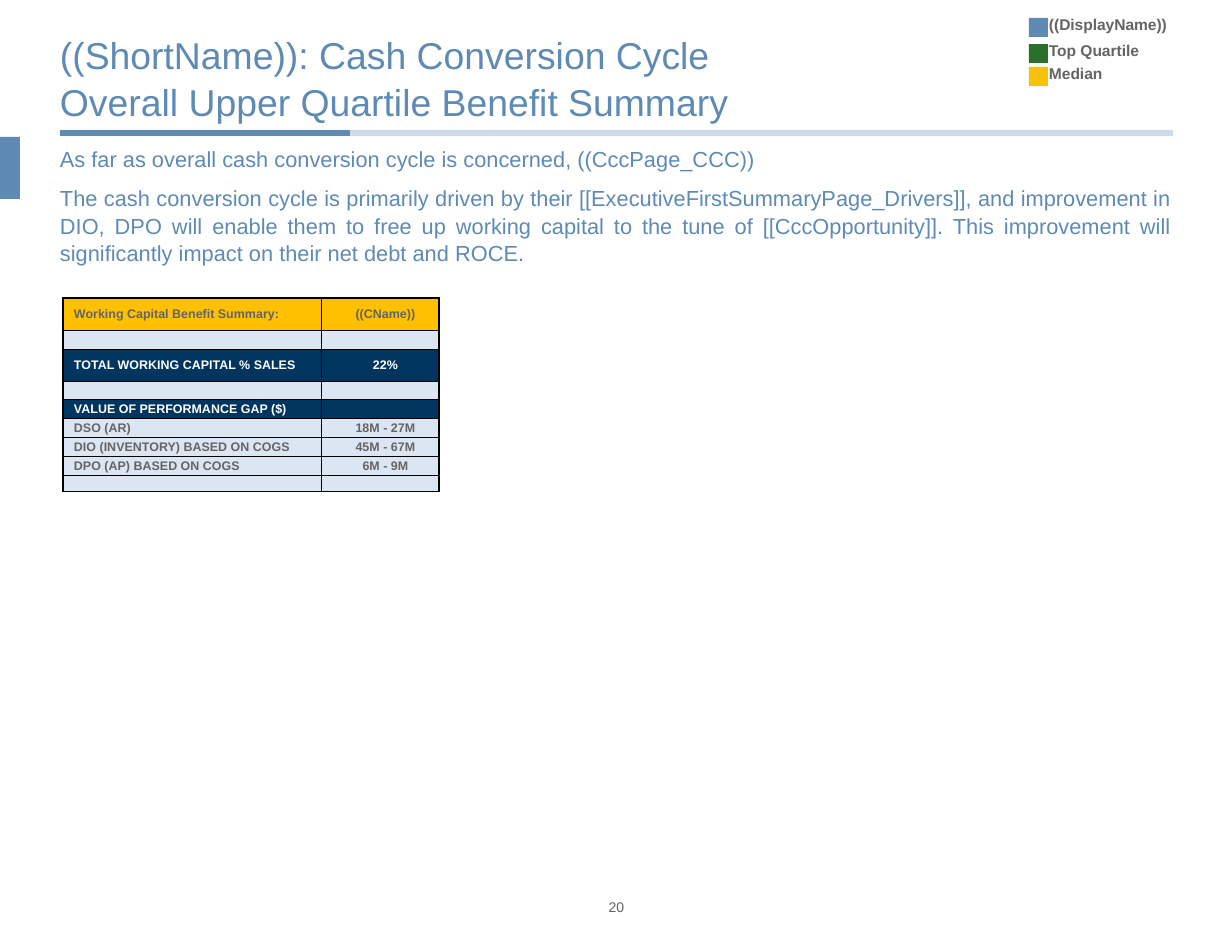
import pptx
import pptx.util
import pptx.dml.color
import pptx.enum.shapes
import pptx.enum.text
import pptx.oxml
import pptx.oxml.ns
import lxml.etree

RGB = pptx.dml.color.RGBColor
BLUE, GREEN, YELLOW = RGB(0x5E, 0x8A, 0xB4), RGB(0x29, 0x70, 0x2A), RGB(0xF9, 0xC2, 0x0A)
GREY, WHITE, BLACK = RGB(0x64, 0x64, 0x64), RGB(255, 255, 255), RGB(0, 0, 0)
GOLD, NAVY, PALE = RGB(0xFF, 0xC0, 0), RGB(0, 0x35, 0x5F), RGB(0xDC, 0xE6, 0xF2)
FONT = "Arial"
PX = 914400 // 112
ALIGN = pptx.enum.text.PP_ALIGN
ANCHOR = pptx.enum.text.MSO_ANCHOR

TITLE = "((ShortName)): Cash Conversion Cycle\vOverall Upper Quartile Benefit Summary"
BODY = [
    "As far as overall cash conversion cycle is concerned, ((CccPage_CCC))",
    "The cash conversion cycle is primarily driven by their [[ExecutiveFirstSummaryPage_Drivers]], "
    "and improvement in DIO, DPO will enable them to free up working capital to the tune of "
    "[[CccOpportunity]]. This improvement will significantly impact on their net debt and ROCE.",
]
LEGEND = [
    ("((DisplayName))", 15, 206, 18, BLUE),
    ("Top Quartile", 41, 103, 44, GREEN),
    ("Median", 64, 93, 67, YELLOW),
]
COLUMNS = [258, 118]
ROWS = [
    ("Working Capital Benefit Summary:", "((CName))", 32, GOLD, GREY),
    ("", "", 19, PALE, GREY),
    ("TOTAL WORKING CAPITAL % SALES", "22%", 32, NAVY, WHITE),
    ("", "", 19, PALE, GREY),
    ("VALUE OF PERFORMANCE GAP ($)", "", 19, NAVY, WHITE),
    ("DSO (AR)", "18M - 27M", 19, PALE, GREY),
    ("DIO (INVENTORY) BASED ON COGS", "45M - 67M", 19, PALE, GREY),
    ("DPO (AP) BASED ON COGS", "6M - 9M", 19, PALE, GREY),
    ("", "", 16, PALE, GREY),
]
RULES = [(1173, 30), (350, 100)]


def style(p, size, color, bold=False, align=ALIGN.LEFT):
    p.alignment = align
    for r in p.runs:
        r.font.name, r.font.size, r.font.bold = FONT, pptx.util.Pt(size), bold
        r.font.color.rgb = color


def add_text(s, box, paragraphs, size, color, bold=False, align=ALIGN.LEFT,
             anchor=ANCHOR.TOP, spacing=1.0, after=0):
    tf = s.shapes.add_textbox(*(v * PX for v in box)).text_frame
    tf.word_wrap, tf.vertical_anchor = True, anchor
    tf.margin_left = tf.margin_top = tf.margin_right = tf.margin_bottom = 0
    tf.text = "\n".join(paragraphs)
    for p in tf.paragraphs:
        p.line_spacing, p.space_after = spacing, pptx.util.Pt(after)
        style(p, size, color, bold, align)


def add_block(s, box, color):
    sp = s.shapes.add_shape(pptx.enum.shapes.MSO_SHAPE.RECTANGLE, *(v * PX for v in box))
    sp.shadow.inherit = False
    sp.fill.solid()
    sp.fill.fore_color.rgb = color
    sp.line.fill.background()


def add_rule(s, right, opacity):
    line = s.shapes.add_connector(pptx.enum.shapes.MSO_CONNECTOR.STRAIGHT,
                                  60 * PX, 133 * PX, right * PX, 133 * PX)
    line.line.color.rgb, line.line.width = BLUE, pptx.util.Pt(4)
    qn = pptx.oxml.ns.qn
    color = line._element.spPr.find(".//" + qn("a:srgbClr"))
    lxml.etree.SubElement(color, qn("a:alpha"), val=str(opacity * 1000))
    lxml.etree.SubElement(line._element.spPr, qn("a:effectLst"))


def set_borders(cell, widths):
    tc_pr = cell._tc.get_or_add_tcPr()
    for i, (side, width) in enumerate(widths.items()):
        tc_pr.insert(i, pptx.oxml.parse_xml(
            f'<a:ln{side} {pptx.oxml.ns.nsdecls("a")} w="{pptx.util.Pt(width)}">'
            f'<a:solidFill><a:srgbClr val="{BLACK}"/></a:solidFill></a:ln{side}>'))


def fill_cell(cell, text, fill, color, align, widths):
    qn = pptx.oxml.ns.qn
    cell.margin_left = cell.margin_top = cell.margin_right = cell.margin_bottom = 0
    cell.vertical_anchor = ANCHOR.MIDDLE
    cell.fill.solid()
    cell.fill.fore_color.rgb = fill
    p = cell.text_frame.paragraphs[0]
    p.text = text
    style(p, 8, color, True, align)
    p._p.get_or_add_pPr().set("marL", str(11 * PX))
    if not text:
        lxml.etree.SubElement(p._p, qn("a:endParaRPr"), sz="800")
    set_borders(cell, widths)


def add_summary(s):
    heights = [row[2] for row in ROWS]
    frame = s.shapes.add_table(len(ROWS), len(COLUMNS), 63 * PX, 298 * PX,
                               sum(COLUMNS) * PX, sum(heights) * PX)
    table = frame.table
    for column, width in zip(table.columns, COLUMNS):
        column.width = width * PX
    last = len(ROWS) - 1
    for i, (label, value, height, fill, color) in enumerate(ROWS):
        table.rows[i].height = height * PX
        for j, text in enumerate((label, value)):
            widths = {"L": 0.5 if j else 1, "R": 1 if j else 0.5,
                      "T": 1 if i == 0 else 0.5, "B": 1 if i == last else 0.5}
            fill_cell(table.cell(i, j), text, fill, color,
                      ALIGN.CENTER if j else ALIGN.LEFT, widths)


def main():
    """Build the cash conversion cycle benefit summary slide."""
    prs = pptx.Presentation()
    prs.slide_width, prs.slide_height = pptx.util.Inches(11), pptx.util.Inches(8.5)
    s = prs.slides.add_slide(prs.slide_layouts[6])
    for right, opacity in RULES:
        add_rule(s, right, opacity)
    add_block(s, (0, 137, 20, 62), BLUE)
    add_summary(s)
    for label, top, width, block_top, color in LEGEND:
        add_block(s, (1029, block_top, 19, 19), color)
        add_text(s, (1049, top, width, 19), [label], 10, GREY, True)
    add_text(s, (60, 24, 1112, 100), [TITLE], 24, BLUE, anchor=ANCHOR.BOTTOM, spacing=1.05)
    add_text(s, (60, 144, 1112, 130), BODY, 14, BLUE, align=ALIGN.JUSTIFY, spacing=1.05, after=8)
    add_text(s, (596, 899, 41, 17), ["20"], 9, GREY, align=ALIGN.CENTER)
    prs.save("out.pptx")


if __name__ == "__main__":
    main()
